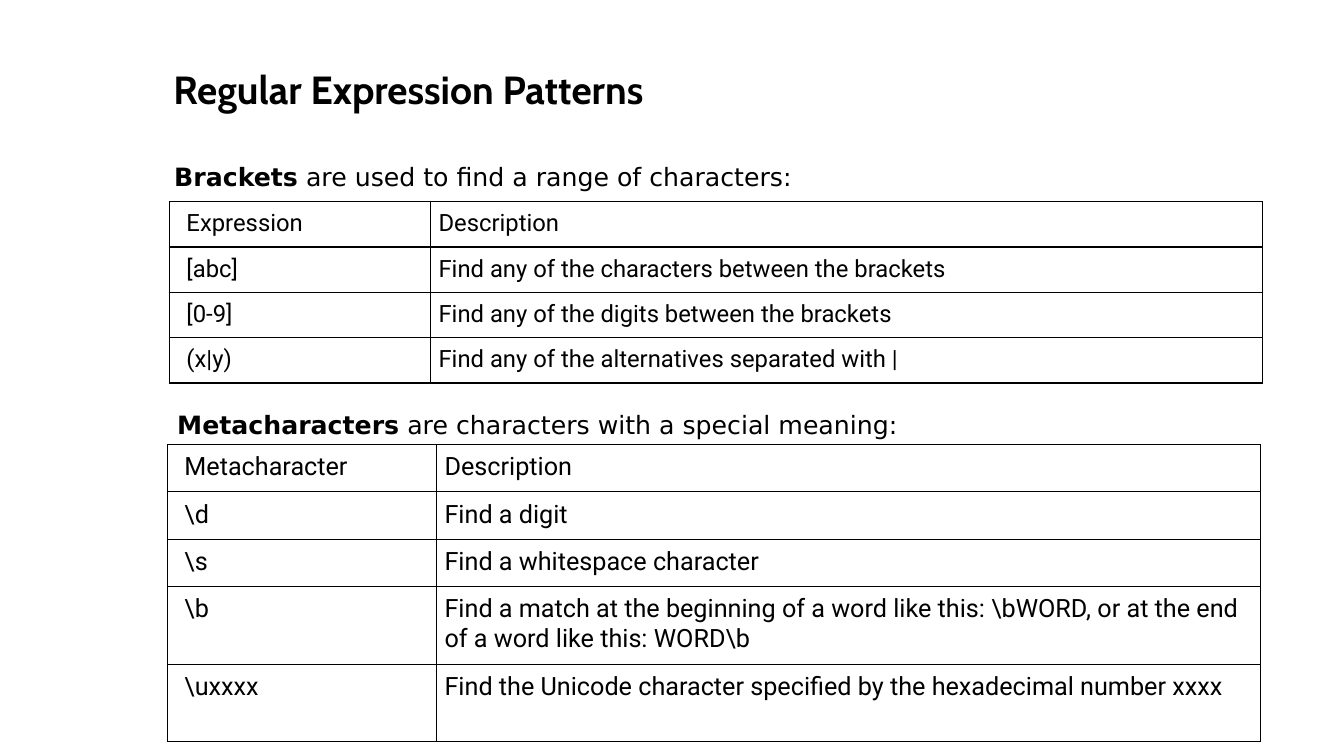
"""Build the slide on regular expression patterns."""
from dataclasses import dataclass

from lxml import etree
from pptx import Presentation
from pptx.dml.color import RGBColor as RGB
from pptx.enum.text import MSO_ANCHOR as ANCHOR, MSO_AUTO_SIZE as AUTO, PP_ALIGN as ALIGN
from pptx.oxml.ns import qn
from pptx.util import Pt


@dataclass(frozen=True)
class Theme:
    ink: RGB = RGB(0, 0, 0)
    head: str = "Cabin"
    lead: str = "DejaVu Sans"
    body: str = "Roboto"
    head_pt: int = 28
    lead_pt: int = 18
    border_pt: int = 1


T = Theme()
PX = 9144


def set_font(p, name, size):
    p.font.name, p.font.size = name, Pt(size)
    p.font.color.rgb = T.ink


def add_borders(cell):
    tcPr = cell._tc.get_or_add_tcPr()
    for i, side in enumerate(("lnL", "lnR", "lnT", "lnB")):
        ln = etree.Element(qn(f"a:{side}"), w=str(Pt(T.border_pt)))
        fill = etree.SubElement(ln, qn("a:solidFill"))
        etree.SubElement(fill, qn("a:srgbClr"), val=str(T.ink))
        tcPr.insert(i, ln)


prs = Presentation()
prs.slide_width, prs.slide_height = 1333 * PX, 750 * PX
s = prs.slides.add_slide(prs.slide_layouts[5])

title = s.shapes.title
title.left, title.top, title.width, title.height = (v * PX for v in (162, 60, 667, 57))
tf = title.text_frame
tf.text = "Regular Expression Patterns"
tf.vertical_anchor = ANCHOR.TOP
tf.auto_size = AUTO.SHAPE_TO_FIT_TEXT
p = tf.paragraphs[0]
p.alignment = ALIGN.LEFT
set_font(p, T.head, T.head_pt)
p.font.bold = True

captions = [
    ((163, 155, 667, 37), "Brackets", " are used to find a range of characters:"),
    ((166, 401, 947, 40), "Metacharacters", " are characters with a special meaning:"),
]
for box, term, rest in captions:
    tf = s.shapes.add_textbox(*(v * PX for v in box)).text_frame
    tf.word_wrap = True
    tf.auto_size = AUTO.SHAPE_TO_FIT_TEXT
    p = tf.paragraphs[0]
    set_font(p, T.lead, T.lead_pt)
    for text, bold in ((term, True), (rest, False)):
        r = p.add_run()
        r.text, r.font.bold = text, bold

tables = [
    ((168, 200), 17, (259, 825), [
        (45, "Expression", "Description"),
        (45, "[abc]", "Find any of the characters between the brackets"),
        (45, "[0-9]", "Find any of the digits between the brackets"),
        (45, "(x|y)", "Find any of the alternatives separated with |"),
    ]),
    ((166, 441), 18, (267, 817), [
        (47, "Metacharacter", "Description"),
        (47, r"\d", "Find a digit"),
        (47, r"\s", "Find a whitespace character"),
        (77, r"\b", r"Find a match at the beginning of a word like this: \bWORD, "
                    r"or at the end of a word like this: WORD\b"),
        (77, r"\uxxxx", "Find the Unicode character specified by the hexadecimal number xxxx"),
    ]),
]
for (left, top), size, widths, rows in tables:
    height = sum(row[0] for row in rows)
    tbl = s.shapes.add_table(len(rows), len(widths), left * PX, top * PX,
                             sum(widths) * PX, height * PX).table
    tbl.first_row = tbl.horz_banding = False
    for col, width in zip(tbl.columns, widths):
        col.width = width * PX
    for row, (row_height, *texts) in zip(tbl.rows, rows):
        row.height = row_height * PX
        for cell, text, inset in zip(row.cells, texts, (17, 8)):
            cell.text = text
            cell.margin_left = inset * PX
            cell.margin_right = cell.margin_top = cell.margin_bottom = 8 * PX
            cell.fill.background()
            add_borders(cell)
            set_font(cell.text_frame.paragraphs[0], T.body, size)

prs.save("out.pptx")
